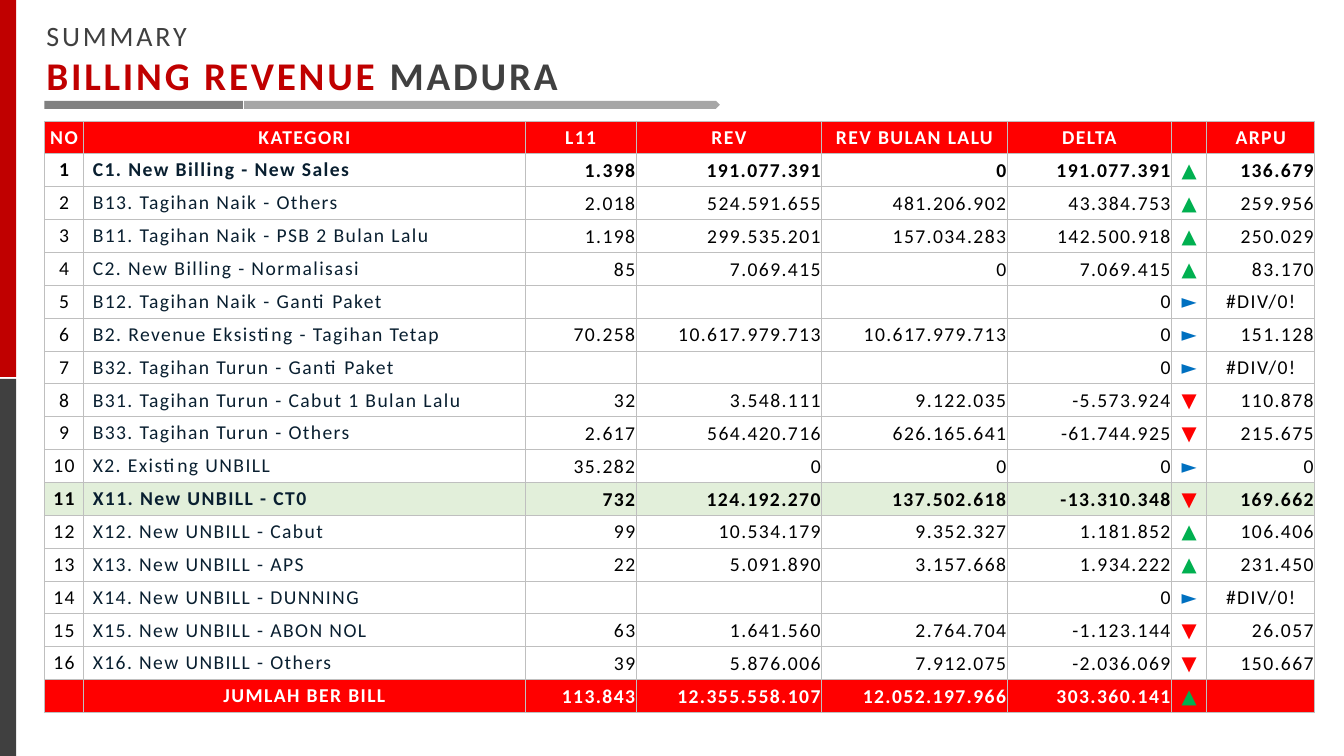
from typing import Any, NamedTuple

from lxml.etree import SubElement
from pptx import Presentation
from pptx.dml.color import RGBColor
from pptx.enum.shapes import MSO_SHAPE
from pptx.enum.text import MSO_ANCHOR, PP_ALIGN
from pptx.oxml.ns import qn
from pptx.util import Inches, Pt

RED = RGBColor(0xFF, 0x00, 0x00)
CRIMSON = RGBColor(0xC0, 0x00, 0x00)
DARK = RGBColor(0x40, 0x40, 0x40)
GRAY = RGBColor(0x80, 0x80, 0x80)
SILVER = RGBColor(0xA6, 0xA6, 0xA6)
BORDER = RGBColor(0xBF, 0xBF, 0xBF)
WHITE = RGBColor(0xFF, 0xFF, 0xFF)
BLACK = RGBColor(0x00, 0x00, 0x00)
NAVY = RGBColor(0x09, 0x1F, 0x30)
GREEN = RGBColor(0x00, 0xB0, 0x50)
BLUE = RGBColor(0x00, 0x70, 0xC0)
MINT = RGBColor(0xE2, 0xEF, 0xDA)

ERROR = "#DIV/0!"
LEFT, MID, RIGHT = PP_ALIGN.LEFT, PP_ALIGN.CENTER, PP_ALIGN.RIGHT


class Bar(NamedTuple):
    kind: MSO_SHAPE
    left: float
    top: float
    width: float
    height: float
    color: RGBColor


class Entry(NamedTuple):
    name: str
    lines: str
    rev: str
    prior: str
    delta: str
    arpu: str
    bold: bool = False
    fill: RGBColor = WHITE


class Look(NamedTuple):
    align: PP_ALIGN
    color: RGBColor
    bold: bool
    fill: RGBColor
    inset: float = 0
    indent: float = 0


BARS = [
    Bar(MSO_SHAPE.RECTANGLE, 0, 3.76, 0.16, 3.74, DARK),
    Bar(MSO_SHAPE.RECTANGLE, 0, 0, 0.16, 3.74, CRIMSON),
    Bar(MSO_SHAPE.PENTAGON, 2.42, 1, 4.72, 0.08, SILVER),
    Bar(MSO_SHAPE.RECTANGLE, 0.44, 1, 1.97, 0.08, GRAY),
]
TITLE = [
    [("SUMMARY", 20, DARK, False)],
    [("BILLING REVENUE", 28, CRIMSON, True), (" MADURA", 28, DARK, True)],
]
HEADS = ["NO", "KATEGORI", "L11", "REV", "REV BULAN LALU", "DELTA", "", "ARPU"]
WIDTHS = [0.39, 4.38, 1.1, 1.84, 1.84, 1.63, 0.35, 1.07]
ROWS = [
    Entry("C1. New Billing - New Sales", "1.398", "191.077.391", "0", "191.077.391", "136.679", True),
    Entry("B13. Tagihan Naik - Others", "2.018", "524.591.655", "481.206.902", "43.384.753", "259.956"),
    Entry("B11. Tagihan Naik - PSB 2 Bulan Lalu", "1.198", "299.535.201", "157.034.283", "142.500.918", "250.029"),
    Entry("C2. New Billing - Normalisasi", "85", "7.069.415", "0", "7.069.415", "83.170"),
    Entry("B12. Tagihan Naik - Ganti Paket", "", "", "", "0", ERROR),
    Entry("B2. Revenue Eksisting - Tagihan Tetap", "70.258", "10.617.979.713", "10.617.979.713", "0", "151.128"),
    Entry("B32. Tagihan Turun - Ganti Paket", "", "", "", "0", ERROR),
    Entry("B31. Tagihan Turun - Cabut 1 Bulan Lalu", "32", "3.548.111", "9.122.035", "-5.573.924", "110.878"),
    Entry("B33. Tagihan Turun - Others", "2.617", "564.420.716", "626.165.641", "-61.744.925", "215.675"),
    Entry("X2. Existing UNBILL", "35.282", "0", "0", "0", "0"),
    Entry("X11. New UNBILL - CT0", "732", "124.192.270", "137.502.618", "-13.310.348", "169.662", True, MINT),
    Entry("X12. New UNBILL - Cabut", "99", "10.534.179", "9.352.327", "1.181.852", "106.406"),
    Entry("X13. New UNBILL - APS", "22", "5.091.890", "3.157.668", "1.934.222", "231.450"),
    Entry("X14. New UNBILL - DUNNING", "", "", "", "0", ERROR),
    Entry("X15. New UNBILL - ABON NOL", "63", "1.641.560", "2.764.704", "-1.123.144", "26.057"),
    Entry("X16. New UNBILL - Others", "39", "5.876.006", "7.912.075", "-2.036.069", "150.667"),
]
TOTAL = Entry("JUMLAH BER BILL", "113.843", "12.355.558.107", "12.052.197.966", "303.360.141", "", True, RED)


def apply(target: Any, values: dict[str, Any]) -> None:
    for name, value in values.items():
        setattr(target, name, value)


def add_run(para: Any, text: str, size: int, color: RGBColor, bold: bool, space: int) -> None:
    run = para.add_run()
    run.text = text
    apply(run.font, {"name": "Calibri", "size": Pt(size), "bold": bold})
    run.font.color.rgb = color
    run.font._element.set("spc", str(space * 100))


def add_bar(slide: Any, bar: Bar) -> None:
    box = [Inches(n) for n in (bar.left, bar.top, bar.width, bar.height)]
    shape = slide.shapes.add_shape(bar.kind, *box)
    shape.shadow.inherit = False
    shape.fill.solid()
    shape.fill.fore_color.rgb = bar.color
    shape.line.fill.background()


def add_title(slide: Any) -> None:
    title = slide.shapes.title
    apply(title, {"left": Inches(0.36), "top": Inches(0.13), "width": Inches(5.36), "height": Inches(0.91)})
    frame = title.text_frame
    apply(frame, {"word_wrap": False, "vertical_anchor": MSO_ANCHOR.TOP})
    for n, runs in enumerate(TITLE):
        para = frame.add_paragraph() if n else frame.paragraphs[0]
        para.alignment = LEFT
        for run in runs:
            add_run(para, *run, 2)


def add_edges(cell: Any) -> None:
    props = cell._tc.get_or_add_tcPr()
    for side in ("a:lnL", "a:lnR", "a:lnT", "a:lnB"):
        line = SubElement(props, qn(side), w=str(Pt(0.75)))
        SubElement(SubElement(line, qn("a:solidFill")), qn("a:srgbClr"), val=str(BORDER))


def fill_cell(cell: Any, text: str, look: Look) -> None:
    inset = Inches(look.inset)
    apply(cell, {"margin_left": inset, "margin_right": inset, "margin_top": inset,
                 "margin_bottom": 0, "vertical_anchor": MSO_ANCHOR.MIDDLE})
    add_edges(cell)
    cell.fill.solid()
    cell.fill.fore_color.rgb = look.fill
    para = cell.text_frame.paragraphs[0]
    para.alignment = look.align
    if look.indent:
        para._p.get_or_add_pPr().set("indent", str(Inches(look.indent)))
    if text:
        add_run(para, text, 14, look.color, look.bold, 1)
    else:
        para.font.size = Pt(14)


def find_trend(delta: str) -> tuple[str, RGBColor]:
    if delta == "0":
        return "►", BLUE
    return ("▼", RED) if delta.startswith("-") else ("▲", GREEN)


def fill_row(cells: Any, label: str, entry: Entry) -> None:
    total = entry is TOTAL
    ink = WHITE if total else BLACK
    base = Look(MID, ink, entry.bold, entry.fill)
    value = base._replace(align=RIGHT, inset=0.01)
    name = base if total else base._replace(align=LEFT, color=NAVY, indent=0.09)
    mark, shade = find_trend(entry.delta)
    ratio = value._replace(align=MID) if entry.arpu == ERROR else value
    texts = [label, *entry[:5], mark, entry.arpu]
    looks = [base, name, *[value] * 4, value._replace(align=MID, color=shade), ratio]
    for cell, text, look in zip(cells, texts, looks):
        fill_cell(cell, text, look)


def add_grid(slide: Any) -> None:
    count = len(ROWS) + 2
    grid = slide.shapes.add_table(count, len(HEADS), Inches(0.44), Inches(1.2),
                                  Inches(12.6), Inches(5.87)).table
    apply(grid, {"first_row": False, "horz_banding": False})
    for column, width in zip(grid.columns, WIDTHS):
        column.width = Inches(width)
    for row in grid.rows:
        row.height = Inches(5.87 / count)
    for cell, text in zip(grid.rows[0].cells, HEADS):
        fill_cell(cell, text, Look(MID, WHITE, True, RED))
    for n, entry in enumerate(ROWS, 1):
        fill_row(grid.rows[n].cells, str(n), entry)
    fill_row(grid.rows[count - 1].cells, "", TOTAL)


deck = Presentation()
apply(deck, {"slide_width": Inches(13.33), "slide_height": Inches(7.5)})
page = deck.slides.add_slide(deck.slide_layouts[5])
add_title(page)
for bar in BARS:
    add_bar(page, bar)
add_grid(page)
deck.save("out.pptx")
